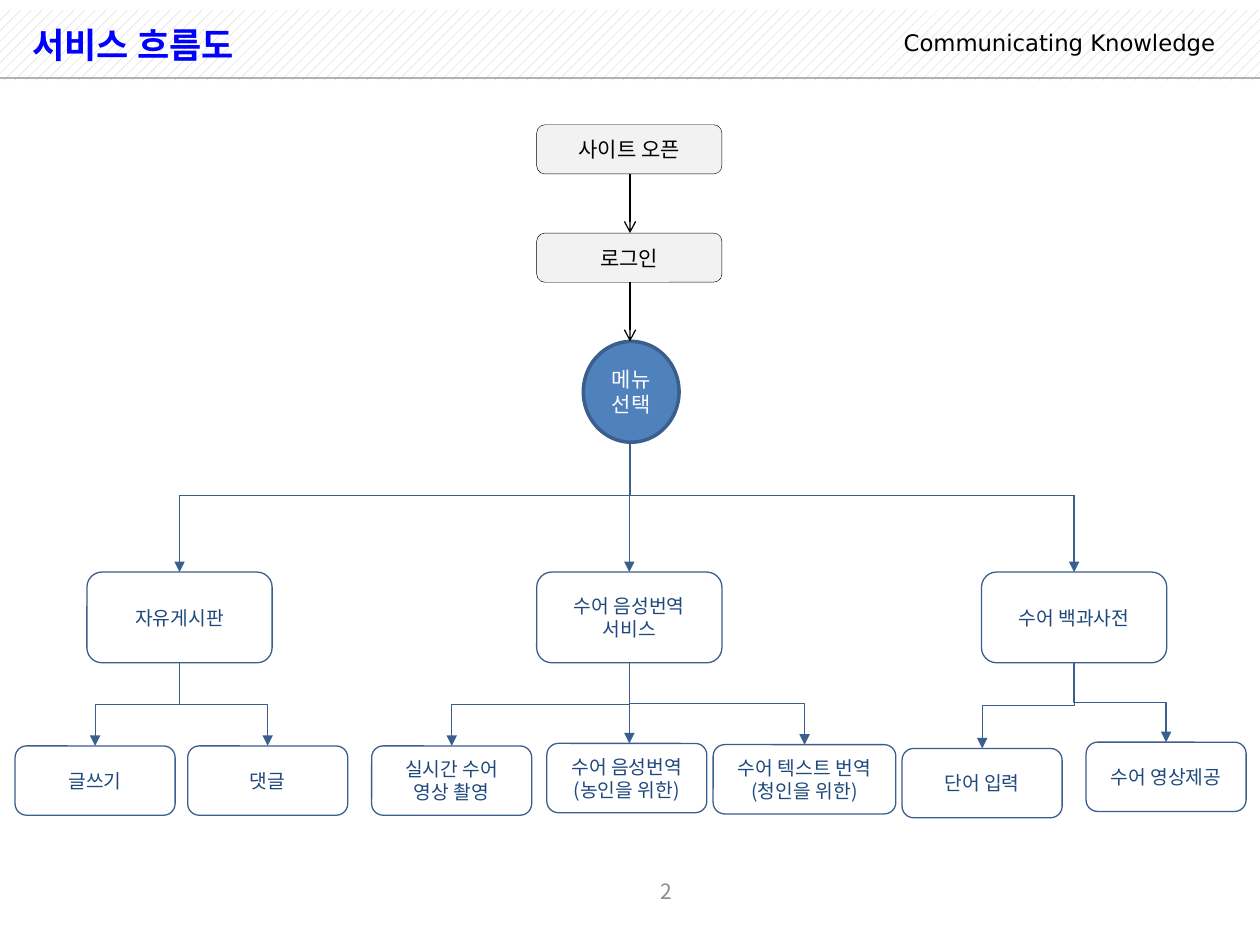
from dataclasses import dataclass

from lxml.etree import SubElement
from pptx import Presentation
from pptx.dml.color import RGBColor
from pptx.enum.dml import MSO_PATTERN as Pattern
from pptx.enum.shapes import MSO_CONNECTOR as Line, MSO_SHAPE as Shape
from pptx.enum.text import MSO_ANCHOR as Anchor, PP_ALIGN as Align
from pptx.oxml.ns import qn
from pptx.util import Inches, Pt

COLORS = {
    "black": "000000", "white": "FFFFFF", "title": "0000FF", "number": "8C8C8C",
    "hatch": "C0C0C0", "rule": "B2B2B2", "step": "F2F2F2",
    "hub": "4F81BD", "edge": "3A5F8C", "label": "1F497D",
}
FONT = "Noto Sans CJK KR"
CENTER_X, BUS_Y = 5.0, 3.93


@dataclass
class Node:
    text: str
    left: float
    top: float
    width: float
    height: float

    @property
    def center(self) -> float:
        return self.left + self.width / 2

    @property
    def bottom(self) -> float:
        return self.top + self.height


def step(text: str, top: float) -> Node:
    return Node(text, 4.26, top, 1.47, 0.39)


def menu(text: str, left: float) -> Node:
    return Node(text, left, 4.54, 1.47, 0.72)


def leaf(text: str, left: float, top: float, width: float = 1.27) -> Node:
    return Node(text, left, top, width, 0.55)


STEPS = [step("사이트 오픈", 0.99), step("로그인", 1.85)]
HUB = Node("메뉴선택", 4.63, 2.71, 0.76, 0.8)
TREE = [
    (menu("자유게시판", 0.69), [leaf("글쓰기", 0.12, 5.92), leaf("댓글", 1.49, 5.92)]),
    (menu("수어 음성번역 서비스", 4.26), [
        leaf("실시간 수어 영상 촬영", 2.95, 5.92),
        leaf("수어 음성번역(농인을 위한)", 4.34, 5.9),
        leaf("수어 텍스트 번역\n(청인을 위한)", 5.66, 5.91, 1.45),
    ]),
    (menu("수어 백과사전", 7.79), [
        leaf("단어 입력", 7.16, 5.94), leaf("수어 영상제공", 8.62, 5.89)]),
]


def rgb(name: str) -> RGBColor:
    return RGBColor.from_string(COLORS[name])


def write(shape, text: str, *, size: float, color: str, font: str = FONT,
          bold: bool = False, align=Align.CENTER, anchor=Anchor.MIDDLE,
          spacing: float = 1.0) -> None:
    frame = shape.text_frame
    frame.word_wrap = True
    frame.vertical_anchor = anchor
    frame.text = text
    for para in frame.paragraphs:
        para.alignment = align
        para.line_spacing = spacing
        for span in para.runs:
            span.font.size, span.font.bold, span.font.name = Pt(size), bold, font
            span.font.color.rgb = rgb(color)
            SubElement(span.font._element, qn("a:ea"), typeface=font)


def add_text(page, text: str, left: float, top: float, width: float,
             height: float, **style) -> None:
    box = page.shapes.add_textbox(*map(Inches, (left, top, width, height)))
    write(box, text, **style)


def add_node(page, node: Node, *, fill: str, edge: str, weight: float,
             color: str, size: float, kind=Shape.ROUNDED_RECTANGLE):
    box = page.shapes.add_shape(
        kind, *map(Inches, (node.left, node.top, node.width, node.height)))
    box.shadow.inherit = False
    box.fill.solid()
    box.fill.fore_color.rgb = rgb(fill)
    box.line.color.rgb = rgb(edge)
    box.line.width = Pt(weight)
    write(box, node.text, size=size, color=color)
    return box


def add_line(page, x1: float, y1: float, x2: float, y2: float, *,
             color: str = "edge", head: str = "", kind=Line.STRAIGHT):
    line = page.shapes.add_connector(kind, *map(Inches, (x1, y1, x2, y2)))
    line.line.color.rgb = rgb(color)
    line.line.width = Pt(0.75)
    if head:
        SubElement(line.line._get_or_add_ln(), qn("a:tailEnd"), type=head)
    SubElement(line._element.spPr, qn("a:effectLst"))
    return line


def add_elbow(page, x1: float, y1: float, x2: float, y2: float) -> None:
    """Connector that leaves downward, crosses halfway, and arrives downward."""
    line = add_line(page, x1, y1, x2, y2, head="triangle", kind=Line.ELBOW)
    across, down = abs(x2 - x1), y2 - y1
    line.left = Inches((x1 + x2 - down) / 2)
    line.top = Inches((y1 + y2 - across) / 2)
    line.width, line.height = Inches(down), Inches(across)
    frame = line._element.spPr.find(qn("a:xfrm"))
    for flip in ("flipH", "flipV"):
        frame.attrib.pop(flip, None)
    frame.set("rot", str((270 if x2 > x1 else 90) * 60000))
    if x2 > x1:
        frame.set("flipH", "1")


def add_header(page) -> None:
    band = page.shapes.add_shape(
        Shape.RECTANGLE, *map(Inches, (0, 0.08, 10, 0.56)))
    band.shadow.inherit = False
    band.fill.patterned()
    band.fill.pattern = Pattern.PERCENT_20
    band.fill.fore_color.rgb = rgb("hatch")
    band.fill.back_color.rgb = rgb("white")
    band.line.fill.background()
    add_text(page, "Communicating Knowledge", 7.03, 0.22, 2.71, 0.28, size=13,
             color="black", font="DejaVu Sans", align=Align.RIGHT,
             anchor=Anchor.TOP, spacing=0.8)
    add_line(page, 0, 0.62, 10, 0.62, color="rule")
    add_text(page, "서비스 흐름도", 0.16, 0.08, 6.95, 0.55, size=20,
             color="title", bold=True, align=Align.LEFT)


def main() -> None:
    deck = Presentation()
    deck.slide_width, deck.slide_height = Inches(10), Inches(7.5)
    page = deck.slides.add_slide(deck.slide_layouts[6])
    add_header(page)
    add_text(page, "2", 0.44, 6.87, 9.69, 0.4, size=12, color="number")

    # Opening steps down to the menu hub
    for node in STEPS:
        add_node(page, node, fill="step", edge="black", weight=0.25,
                 color="black", size=12)
    hub = add_node(page, HUB, fill="hub", edge="edge", weight=2, color="white",
                   size=12, kind=Shape.OVAL)
    hub.text_frame.margin_left = hub.text_frame.margin_right = Inches(0.08)
    for start, end in zip(STEPS, [*STEPS[1:], HUB]):
        add_line(page, CENTER_X, start.bottom, CENTER_X, end.top,
                 color="black", head="arrow")

    # Menu branches and their functions
    add_line(page, CENTER_X, HUB.bottom, CENTER_X, BUS_Y)
    for parent, children in TREE:
        x = parent.center
        if abs(x - CENTER_X) > 0.1:
            add_line(page, CENTER_X, BUS_Y, x, BUS_Y)
        add_line(page, x, BUS_Y, x, parent.top, head="triangle")
        for child in children:
            if abs(child.center - x) < 0.1:
                add_line(page, x, parent.bottom, x, child.top, head="triangle")
            else:
                add_elbow(page, x, parent.bottom, child.center, child.top)
        for node in (parent, *children):
            add_node(page, node, fill="white", edge="edge", weight=0.75,
                     color="label", size=11)

    deck.save("out.pptx")


if __name__ == "__main__":
    main()
